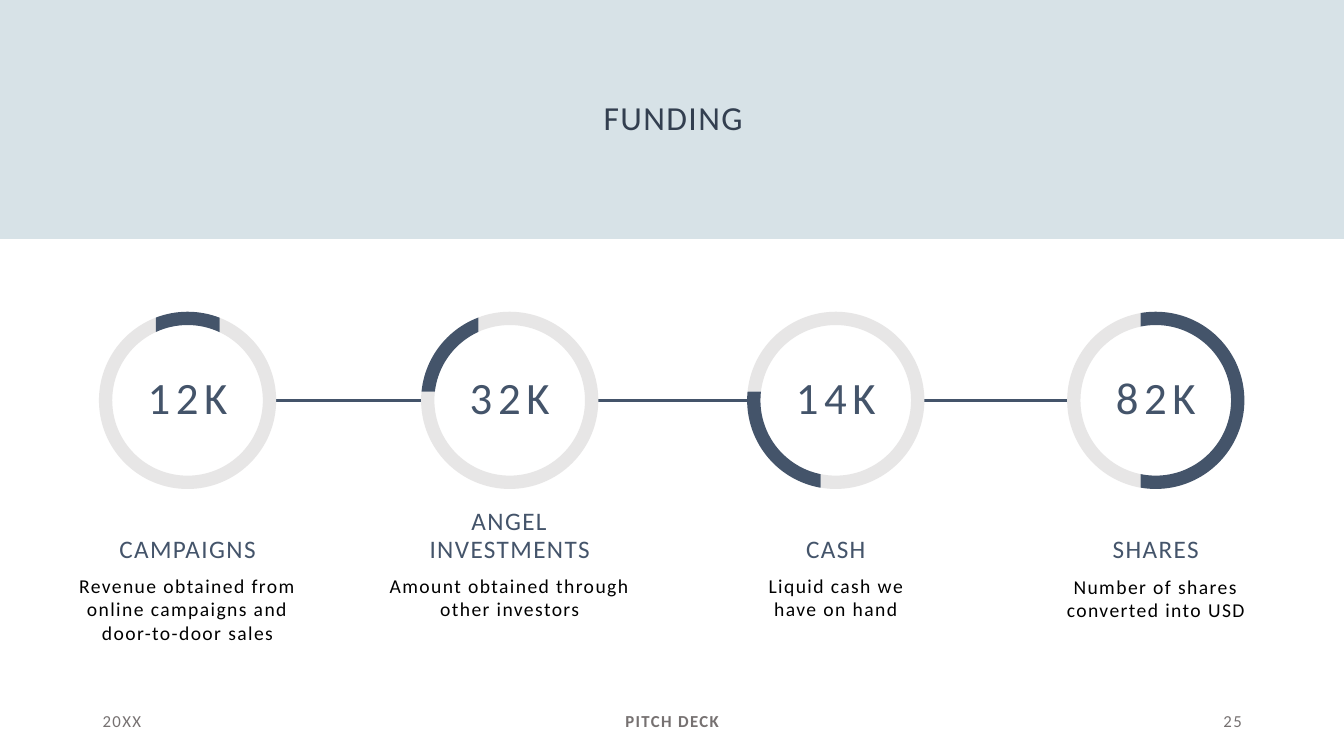
from dataclasses import dataclass
from itertools import pairwise
from math import atan2, ceil, cos, floor, pi, sin, sqrt, tan

from lxml.etree import SubElement
from pptx import Presentation
from pptx.dml.color import RGBColor
from pptx.enum.shapes import MSO_CONNECTOR, MSO_SHAPE
from pptx.enum.text import MSO_ANCHOR, MSO_AUTO_SIZE, PP_ALIGN
from pptx.oxml.ns import qn
from pptx.shapes.base import BaseShape
from pptx.slide import Slide
from pptx.util import Pt

BAND = RGBColor(0xD7, 0xE2, 0xE7)
NAVY = RGBColor(0x44, 0x54, 0x6A)
TITLE = RGBColor(0x33, 0x3F, 0x50)
RING = RGBColor(0xE7, 0xE6, 0xE6)
FOOTER = RGBColor(0x76, 0x71, 0x71)
BLACK = RGBColor(0x00, 0x00, 0x00)

FONT = "Calibri"
RING_Y = 286
OUTER, INNER = 63.3, 53.8
CURVE_SPAN = pi / 4
CAPTION_WIDTH = 187.2
LINKS = [(197.3, 301), (425.5, 541.4), (657.4, 769)]


@dataclass(frozen=True)
class Cut:
    """Straight edge across a ring, offset from its centre, on one side of it."""
    side: str
    offset: float

    def angle(self, radius: float) -> float:
        reach = sqrt(radius ** 2 - self.offset ** 2)
        x, y = {
            "top": (self.offset, -reach),
            "bottom": (self.offset, reach),
            "left": (-reach, self.offset),
        }[self.side]
        return atan2(y, x)


@dataclass(frozen=True)
class Source:
    """One funding source; its accent runs clockwise from start to end."""
    center: float
    amount: str
    name: str
    description: str
    start: Cut
    end: Cut
    description_top: float = 406.1


SOURCES = [
    Source(134, "12K", "CAMPAIGNS",
           "Revenue obtained from online campaigns and door-to-door sales",
           Cut("top", -22.7), Cut("top", 22.9)),
    Source(364.1, "32K", "ANGEL INVESTMENTS",
           "Amount obtained through other investors",
           Cut("left", -6.2), Cut("top", -22.3)),
    Source(597, "14K", "CASH", "Liquid cash we\nhave on hand",
           Cut("bottom", -10.8), Cut("left", -6.2)),
    Source(825.6, "82K", "SHARES", "Number of shares converted into USD",
           Cut("top", -10.8), Cut("bottom", -10.8), 406.8),
]


def place(box: BaseShape, left: float, top: float, width: float, height: float) -> None:
    box.left, box.top, box.width, box.height = map(Pt, (left, top, width, height))


def write(box: BaseShape, text: str, *, size: float, color: RGBColor,
          align: PP_ALIGN = PP_ALIGN.CENTER, anchor: MSO_ANCHOR = MSO_ANCHOR.MIDDLE,
          bold: bool = False, tracking: float = 1, line_spacing: float = 1.0,
          space_before: float = 0, side_inset: float = 7.2) -> None:
    frame = box.text_frame
    frame.word_wrap = True
    frame.auto_size = MSO_AUTO_SIZE.NONE
    frame.vertical_anchor = anchor
    frame.margin_left = frame.margin_right = Pt(side_inset)
    frame.margin_top = frame.margin_bottom = Pt(3.6)
    frame.text = text
    for para in frame.paragraphs:
        para.alignment = align
        para.line_spacing = line_spacing
        para.space_before = Pt(space_before)
        properties = para._p.get_or_add_pPr()
        properties.set("marL", "0")
        properties.set("indent", "0")
        SubElement(properties, qn("a:buNone"))
        for span in para.runs:
            span.font.name = FONT
            span.font.size = Pt(size)
            span.font.bold = bold
            span.font.color.rgb = color
            span._r.get_or_add_rPr().set("spc", str(round(tracking * 100)))


def add_text(page: Slide, text: str, left: float, top: float, width: float,
             height: float, **style) -> None:
    box = page.shapes.add_textbox(Pt(left), Pt(top), Pt(width), Pt(height))
    write(box, text, **style)


def paint(shape: BaseShape, color: RGBColor) -> None:
    shape.shadow.inherit = False
    shape.fill.solid()
    shape.fill.fore_color.rgb = color
    shape.line.fill.background()


def add_band(page: Slide) -> None:
    """Draw the title band behind everything else."""
    band = page.shapes.add_shape(MSO_SHAPE.RECTANGLE, 0, 0, Pt(960), Pt(170.7))
    paint(band, BAND)
    page.shapes._spTree.insert(2, band._element)


def add_link(page: Slide, left: float, right: float) -> None:
    link = page.shapes.add_connector(
        MSO_CONNECTOR.STRAIGHT, Pt(left), Pt(RING_Y), Pt(right), Pt(RING_Y))
    link.line.color.rgb = NAVY
    link.line.width = Pt(2.25)
    SubElement(link._element.spPr, qn("a:effectLst"))


def arc_points(center: float, radius: float, start: Cut, end: Cut) -> list[tuple[int, int]]:
    """Bezier points clockwise between two cuts, three per curve after the first."""
    first = start.angle(radius)
    last = first + (end.angle(radius) - first) % (2 * pi)
    joints = range(floor(first / CURVE_SPAN) + 1, ceil(last / CURVE_SPAN))
    angles = [first, *(joint * CURVE_SPAN for joint in joints), last]

    def point(angle: float, along: float = 0) -> tuple[int, int]:
        return (Pt(center + radius * (cos(angle) - along * sin(angle))),
                Pt(RING_Y + radius * (sin(angle) + along * cos(angle))))

    points = [point(first)]
    for near, far in pairwise(angles):
        handle = 4 / 3 * tan((far - near) / 4)
        points += [point(near, handle), point(far, -handle), point(far)]
    return points


def bend(lines: list) -> None:
    """Turn each three line elements into one Bezier curve."""
    for curve, *others in zip(lines[::3], lines[1::3], lines[2::3]):
        curve.tag = qn("a:cubicBezTo")
        for line in others:
            curve.append(line[0])
            line.getparent().remove(line)


def add_segment(page: Slide, center: float, start: Cut, end: Cut, color: RGBColor) -> None:
    outer = arc_points(center, OUTER, start, end)
    inner = arc_points(center, INNER, start, end)[::-1]
    builder = page.shapes.build_freeform(*outer[0])
    builder.add_line_segments(outer[1:] + inner, close=True)
    segment = builder.convert_to_shape()
    lines = list(segment._element.iter(qn("a:lnTo")))
    bend(lines[:len(outer) - 1])
    bend(lines[len(outer):len(outer) + len(inner) - 1])
    paint(segment, color)


def add_source(page: Slide, source: Source, body: BaseShape) -> None:
    add_segment(page, source.center, source.end, source.start, RING)
    add_segment(page, source.center, source.start, source.end, NAVY)
    add_text(page, source.amount, source.center - 48, 242.6, 96, 90.7,
             size=32, color=NAVY, tracking=4, line_spacing=0.7)
    left = source.center - CAPTION_WIDTH / 2
    add_text(page, source.name, left, 356.4, CAPTION_WIDTH, 49.7, size=18, color=NAVY,
             anchor=MSO_ANCHOR.BOTTOM, line_spacing=0.9, space_before=10, side_inset=10)
    place(body, left, source.description_top, CAPTION_WIDTH, 71.3)
    write(body, source.description, size=14, color=BLACK, anchor=MSO_ANCHOR.TOP)


def main() -> None:
    deck = Presentation()
    deck.slide_width, deck.slide_height = Pt(960), Pt(540)
    page = deck.slides.add_slide(deck.slide_layouts.get_by_name("Comparison"))
    title, *bodies = page.placeholders

    add_band(page)
    place(title, 318.2, 48.2, 325.4, 74.2)
    write(title, "FUNDING", size=24, color=TITLE, line_spacing=0.9)

    for left, right in LINKS:
        add_link(page, left, right)
    for source, body in zip(SOURCES, bodies):
        add_source(page, source, body)

    footer = {"size": 12, "color": FOOTER}
    add_text(page, "20XX", 66.2, 500.4, 216, 28.8, align=PP_ALIGN.LEFT, **footer)
    add_text(page, "PITCH DECK", 318.2, 500.4, 324, 28.8, bold=True, **footer)
    add_text(page, "25", 678.2, 500.4, 216, 28.8, align=PP_ALIGN.RIGHT, **footer)

    deck.save("out.pptx")


if __name__ == "__main__":
    main()
